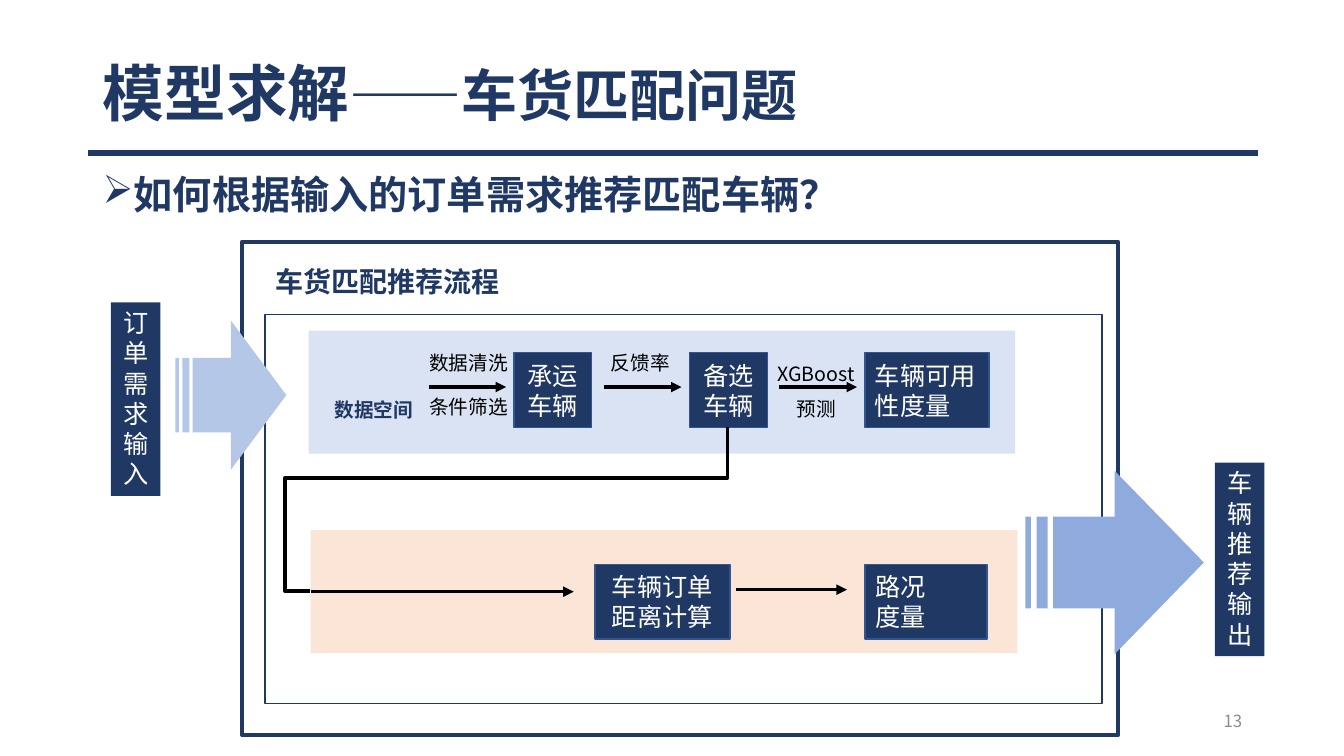
from lxml.etree import SubElement
from pptx import Presentation
from pptx.dml.color import RGBColor
from pptx.enum.shapes import MSO_CONNECTOR, MSO_SHAPE
from pptx.enum.text import MSO_ANCHOR, MSO_AUTO_SIZE, PP_ALIGN
from pptx.oxml.ns import qn
from pptx.util import Pt

PX = 9144
FONT = "Noto Sans CJK SC"
NAVY = RGBColor(0x20, 0x38, 0x64)
EDGE = RGBColor(0x32, 0x54, 0x91)
WHITE = RGBColor(0xFF, 0xFF, 0xFF)
BLACK = RGBColor(0, 0, 0)
GREY = RGBColor(0x8C, 0x8C, 0x8C)
PALE_BLUE = RGBColor(0xDA, 0xE3, 0xF3)
PEACH = RGBColor(0xFB, 0xE5, 0xD6)
LIGHT_BLUE = RGBColor(0xB4, 0xC7, 0xE7)
MID_BLUE = RGBColor(0x8F, 0xAA, 0xDC)


def emu(*lengths):
    return [n * PX for n in lengths]


def write(sp, *paragraphs, size=18, color=WHITE, bold=False, align=PP_ALIGN.LEFT,
          anchor=MSO_ANCHOR.TOP, spacing=None, bullet=None):
    tf = sp.text_frame
    tf.word_wrap = True
    tf.auto_size = MSO_AUTO_SIZE.NONE
    tf.vertical_anchor = anchor
    for i, runs in enumerate(paragraphs):
        p = tf.add_paragraph() if i else tf.paragraphs[0]
        p.alignment = align
        p.space_before = Pt(0)
        if spacing:
            p.line_spacing = spacing
        if bullet:
            pPr = p._p.get_or_add_pPr()
            pPr.set("marL", str(25 * PX))
            pPr.set("indent", str(-25 * PX))
            SubElement(pPr, qn("a:buChar")).set("char", bullet)
        for text, run_size in [(runs, size)] if isinstance(runs, str) else runs:
            r = p.add_run()
            r.text = text
            r.font.size = Pt(run_size)
            r.font.bold = bold
            r.font.color.rgb = color
            r.font.name = FONT
            SubElement(r._r.get_or_add_rPr(), qn("a:ea")).set("typeface", FONT)


def label(s, box, *paragraphs, **fmt):
    write(s.shapes.add_textbox(*emu(*box)), *paragraphs, **fmt)


def shape(s, box, fill=None, line=None, width=1, kind=MSO_SHAPE.RECTANGLE):
    sp = s.shapes.add_shape(kind, *emu(*box))
    sp.shadow.inherit = False
    if fill is None:
        sp.fill.background()
    else:
        sp.fill.solid()
        sp.fill.fore_color.rgb = fill
    if line is None:
        sp.line.fill.background()
    else:
        sp.line.color.rgb = line
        sp.line.width = Pt(width)
    return sp


def step(s, box, *paragraphs, align=PP_ALIGN.CENTER):
    sp = shape(s, box, NAVY, EDGE)
    write(sp, *paragraphs, align=align, anchor=MSO_ANCHOR.MIDDLE)


def connector(s, x1, y1, x2, y2, color=BLACK, width=2.5, head=False,
              kind=MSO_CONNECTOR.STRAIGHT):
    c = s.shapes.add_connector(kind, *emu(x1, y1, x2, y2))
    c.line.color.rgb = color
    c.line.width = Pt(width)
    if head:
        SubElement(c.line._get_or_add_ln(), qn("a:tailEnd")).set("type", "triangle")
    SubElement(c._element.spPr, qn("a:effectLst"))
    return c


def elbow(s, x1, y1, x2, y2):
    w, h = y2 - y1, x1 - x2
    left, top = (x1 + x2 - w) // 2, (y1 + y2 - h) // 2
    c = connector(s, left, top, left + w, top + h, kind=MSO_CONNECTOR.ELBOW)
    c._element.spPr.find(qn("a:xfrm")).set("rot", "5400000")
    geom = c._element.spPr.find(qn("a:prstGeom"))
    geom.set("prst", "bentConnector4")
    guides = geom.find(qn("a:avLst"))
    for name, value in (("adj1", 31200), ("adj2", 106000)):
        gd = SubElement(guides, qn("a:gd"))
        gd.set("name", name)
        gd.set("fmla", f"val {value}")


def header(s, box):
    x, y, w, h = box
    sp = s.shapes.title
    sp.left, sp.top, sp.width, sp.height = emu(*box)
    write(sp, [("模型求解", 44), ("——车货匹配问题", 40)], color=NAVY, bold=True,
          anchor=MSO_ANCHOR.MIDDLE, spacing=0.9)
    connector(s, x - 5, y + h, x + w + 6, y + h, NAVY, 4)
    label(s, (x, y + h + 17, w, 60), "如何根据输入的订单需求推荐匹配车辆？",
          size=28, color=NAVY, bold=True, spacing=0.9, bullet="➢")


def frame(s, box):
    x, y, w, h = box
    shape(s, box, line=NAVY, width=3)
    shape(s, (x + 23, y + 72, w - 39, h - 103), line=NAVY)
    label(s, (x + 23, y + 17, 455, 44), "车货匹配推荐流程", size=20, color=NAVY, bold=True)


def data_band(s, box):
    x, y, w, h = box
    shape(s, box, PALE_BLUE)
    label(s, (x + 12, y + 62, 106, 34), "数据空间", size=14, color=NAVY, bold=True,
          align=PP_ALIGN.CENTER)
    steps = (("承运车辆", 77, PP_ALIGN.CENTER), ("备选车辆", 77, PP_ALIGN.CENTER),
             ("车辆可用性度量", 123, PP_ALIGN.LEFT))
    for i, (text, width, align) in enumerate(steps):
        left = x + 204 + 174 * i
        connector(s, left - 85, y + 56, left - 8, y + 56, head=True)
        step(s, (left, y + 22, width, 74), text, align=align)
    for text, dx, dy in (("数据清洗", 110, 15), ("条件筛选", 110, 59), ("反馈率", 290, 15)):
        label(s, (x + dx, y + dy, 139, 34), text, size=14, color=BLACK)
    label(s, (x + 448, y + 14, 111, 77), "XGBoost预测", size=14, color=BLACK,
          align=PP_ALIGN.CENTER, spacing=1.5)


def road_band(s, box):
    x, y, w, h = box
    band = shape(s, box, PEACH)
    step(s, (x + 282, y + 34, 134, 74), "车辆订单距离计算")
    step(s, (x + 550, y + 34, 121, 74), "路况", "度量", align=PP_ALIGN.LEFT)
    c = connector(s, x, y + h // 2, x + 261, y + h // 2, head=True)
    c.begin_connect(band, 1)
    connector(s, x + 422, y + 59, x + 532, y + 59, head=True)


def port(s, box, text, arrow_box, color):
    write(shape(s, box, NAVY), text, align=PP_ALIGN.CENTER)
    shape(s, arrow_box, color, kind=MSO_SHAPE.STRIPED_RIGHT_ARROW)


def main():
    prs = Presentation()
    prs.slide_width, prs.slide_height = emu(1333, 750)
    s = prs.slides.add_slide(prs.slide_layouts[5])
    header(s, (92, 40, 1150, 112))
    frame(s, (240, 240, 869, 489))
    data_band(s, (306, 328, 701, 122))
    road_band(s, (308, 526, 701, 122))
    elbow(s, 722, 424, 308, 587)
    port(s, (110, 300, 49, 192), "订单需求输入", (174, 318, 110, 148), LIGHT_BLUE)
    port(s, (1205, 459, 49, 192), "车辆推荐输出", (1017, 467, 177, 182), MID_BLUE)
    label(s, (942, 695, 300, 40), "13", size=12, color=GREY,
          align=PP_ALIGN.RIGHT, anchor=MSO_ANCHOR.MIDDLE)
    prs.save("out.pptx")


if __name__ == "__main__":
    main()
